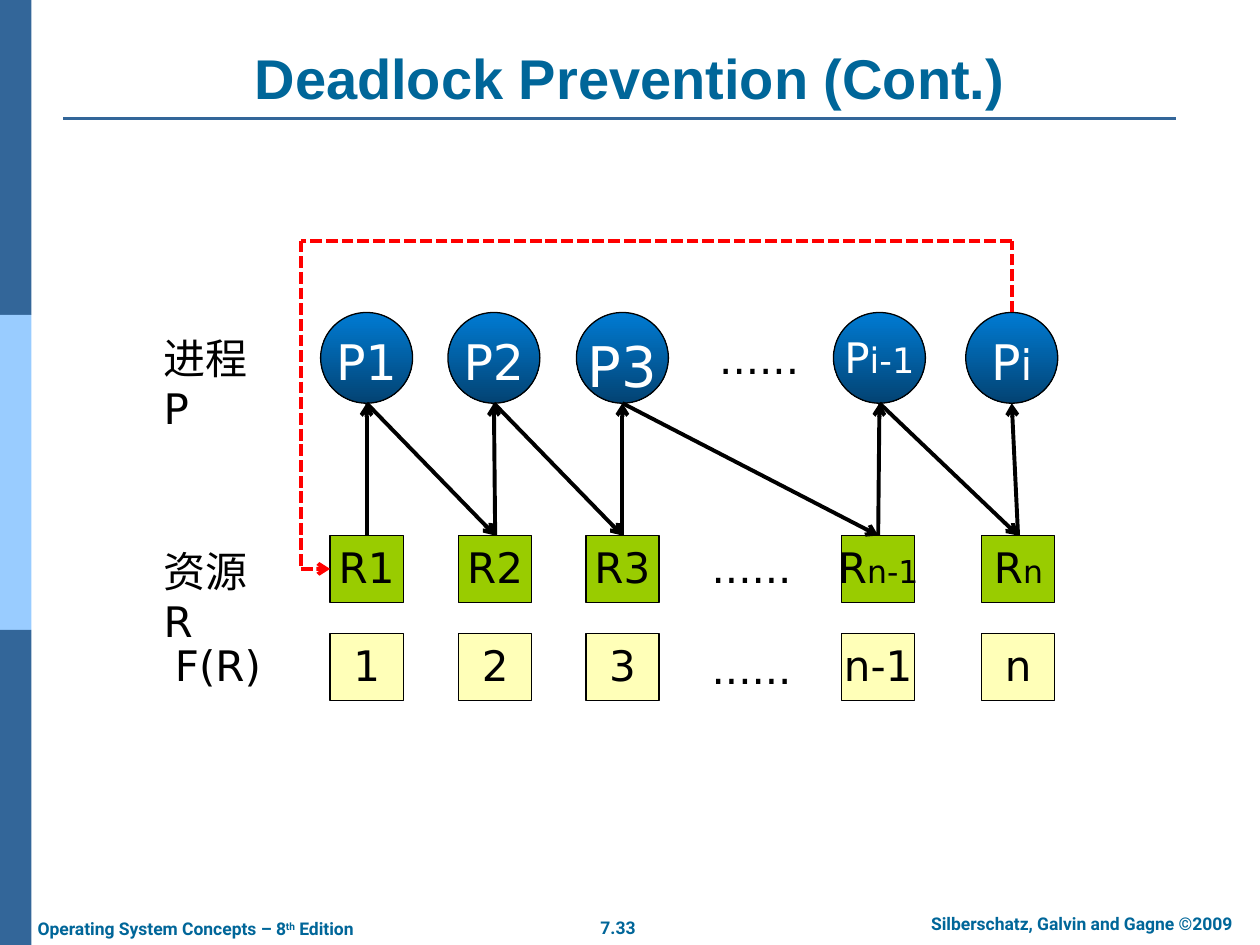
from lxml import etree
from pptx import Presentation
from pptx.dml.color import RGBColor
from pptx.enum.dml import MSO_LINE
from pptx.enum.shapes import MSO_CONNECTOR, MSO_SHAPE
from pptx.enum.text import MSO_ANCHOR, MSO_AUTO_SIZE, PP_ALIGN
from pptx.oxml.ns import qn
from pptx.util import Inches, Pt

RECT, OVAL, LINE = MSO_SHAPE.RECTANGLE, MSO_SHAPE.OVAL, MSO_CONNECTOR.STRAIGHT
LEFT, CENTER = PP_ALIGN.LEFT, PP_ALIGN.CENTER
TOP, BOTTOM = MSO_ANCHOR.TOP, MSO_ANCHOR.BOTTOM

THEME = {
    "heading": "006699", "bar": "336699", "bar_light": "99CCFF",
    "resource": "99CC00", "order": "FFFFB8", "ball": ("007BD3", "034373"),
    "ink": "000000", "white": "FFFFFF", "cycle": "FF0000",
    "title_font": "Arial", "body_font": "DejaVu Sans", "foot_font": "Roboto",
    "title": 32, "body": 24, "foot": 10,
}
RGB = RGBColor.from_string

# Grid in inches: column centres and row tops
PROCESS_X = [2.91, 3.92, 4.94, 6.98, 8.03]
RESOURCE_X = [2.91, 3.93, 4.94, 6.97, 8.08]
PROCESS_Y, RESOURCE_Y, ORDER_Y = 2.48, 4.25, 5.03
BALL_W, BALL_H, BOX_W, BOX_H = 0.73, 0.72, 0.58, 0.53
BALL_BOTTOM = PROCESS_Y + BALL_H

prs = Presentation()
prs.slide_width, prs.slide_height = Inches(10), Inches(7.5)
s = prs.slides.add_slide(prs.slide_layouts[5])


def write(sp, runs, color="ink", font="body_font", align=CENTER, bold=False, wrap=False):
    """Write (text, size) runs as one top-anchored paragraph."""
    tf = sp.text_frame
    tf.word_wrap, tf.vertical_anchor = wrap, TOP
    p = tf.paragraphs[0]
    p.alignment = align
    p.font.name, p.font.bold = THEME[font], bold
    p.font.color.rgb = RGB(THEME[color])
    p.font.size = Pt(runs[0][1])
    for text, size in runs:
        r = p.add_run()
        r.text = text
        if size != runs[0][1]:
            r.font.size = Pt(size)
    return p


def connect(start, end, color="ink", width=2.25, arrow=True, dash=None):
    """Draw a line between two points in inches."""
    c = s.shapes.add_connector(LINE, *(Inches(v) for v in (*start, *end)))
    c.line.color.rgb, c.line.width = RGB(THEME[color]), Pt(width)
    if dash:
        c.line.dash_style = dash
    if arrow:
        etree.SubElement(c.line._get_or_add_ln(), qn("a:tailEnd"), type="arrow")
    etree.SubElement(c._element.spPr, qn("a:effectLst"))
    return c


# Side bar in thirds of the slide height
third = prs.slide_height // 3
for i, name in enumerate(("bar", "bar_light", "bar")):
    sp = s.shapes.add_shape(RECT, 0, i * third, Inches(0.25), third)
    sp.shadow.inherit = False
    sp.fill.solid()
    sp.fill.fore_color.rgb = RGB(THEME[name])
    sp.line.fill.background()

# Title and its rule
title = s.shapes.title
title.left, title.top, title.width, title.height = (
    Inches(v) for v in (0.5, 0.3, 9, 0.63))
tf = title.text_frame
tf.text = "Deadlock Prevention (Cont.)"
tf.auto_size, tf.vertical_anchor = MSO_AUTO_SIZE.NONE, BOTTOM
p = tf.paragraphs[0]
p.alignment = CENTER
p.font.name, p.font.size, p.font.bold = THEME["title_font"], Pt(THEME["title"]), True
p.font.color.rgb = RGB(THEME["heading"])
connect((0.5, 0.94), (9.33, 0.94), "bar", 1.5, arrow=False)

# Footer
size = THEME["foot"]
FOOTER = [
    (4.66, 7.23, 0.49, CENTER, ["7.33"]),
    (7.1, 7.2, 2.97, CENTER, ["Silberschatz, Galvin and Gagne ©2009"]),
    (0.2, 7.24, 2.88, LEFT, ["Operating System Concepts – 8", "th", " Edition"]),
]
for x, y, w, align, parts in FOOTER:
    sp = s.shapes.add_textbox(*(Inches(v) for v in (x, y, w, 0.27)))
    p = write(sp, [(t, size) for t in parts], "heading", "foot_font", align, True)
    for r in p.runs:
        if r.text == "th":
            r._r.get_or_add_rPr().set("baseline", "30000")

# Resource boxes and their order numbers
size = THEME["body"]
RESOURCES = [[("R1", size)], [("R2", size)], [("R3", size)],
             [("R", size), ("n-1", 18)], [("R", size), ("n", 18)]]
ORDERS = [[(t, size)] for t in ("1", "2", "3", "n-1", "n")]
boxes = []
for y, fill, labels in ((RESOURCE_Y, "resource", RESOURCES), (ORDER_Y, "order", ORDERS)):
    for x, runs in zip(RESOURCE_X, labels):
        sp = s.shapes.add_shape(
            RECT, *(Inches(v) for v in (x - BOX_W / 2, y, BOX_W, BOX_H)))
        sp.shadow.inherit = False
        sp.fill.solid()
        sp.fill.fore_color.rgb = RGB(THEME[fill])
        sp.line.color.rgb, sp.line.width = RGB(THEME["ink"]), Pt(0.75)
        write(sp, runs, align=LEFT if runs is RESOURCES[-1] else CENTER)
        boxes.append(sp)
resources = boxes[:len(RESOURCE_X)]

# Process balls
PROCESSES = [[("P1", 28)], [("P2", 28)], [("P3", 32)],
             [("P", 24), ("i-1", 20)], [("P", 28), ("i", 24)]]
for x, runs in zip(PROCESS_X, PROCESSES):
    sp = s.shapes.add_shape(
        OVAL, *(Inches(v) for v in (x - BALL_W / 2, PROCESS_Y, BALL_W, BALL_H)))
    sp.shadow.inherit = False
    sp.fill.gradient()
    sp.fill.gradient_angle = 270
    for stop, color, position in zip(sp.fill.gradient_stops, THEME["ball"], (0, 1)):
        stop.color.rgb, stop.position = RGB(color), position
    sp.line.color.rgb, sp.line.width = RGB(THEME["ink"]), Pt(0.75)
    write(sp, runs, "white")

# Row labels and ellipses
LABELS = [
    (1.2, 2.59, 1, "进程P"), (1.2, 4.28, 1, "资源R"), (1.29, 5.03, 0.93, "F(R)"),
    (5.61, 2.59, 0.93, "......"), (5.55, 4.25, 0.93, "......"), (5.55, 5.05, 0.93, "......"),
]
for x, y, w, text in LABELS:
    sp = s.shapes.add_textbox(*(Inches(v) for v in (x, y, w, 0.5)))
    write(sp, [(text, size)], align=LEFT, wrap=w == 1)

# Each resource is held by its process, which requests the next resource
for i, (px, rx) in enumerate(zip(PROCESS_X, RESOURCE_X)):
    held = connect((rx, RESOURCE_Y), (px, BALL_BOTTOM))
    held.begin_connect(resources[i], 0)
    if i + 1 < len(resources):
        request = connect((px, BALL_BOTTOM), (RESOURCE_X[i + 1], RESOURCE_Y))
        request.end_connect(resources[i + 1], 0)

# Dashed request from the last process back to the first resource
cycle_x, cycle_y, middle = 2.39, 1.91, RESOURCE_Y + BOX_H / 2
route = [(PROCESS_X[-1], PROCESS_Y), (PROCESS_X[-1], cycle_y), (cycle_x, cycle_y),
         (cycle_x, middle), (RESOURCE_X[0] - BOX_W / 2, middle)]
for start, end in zip(route, route[1:]):
    last = connect(start, end, "cycle", arrow=end == route[-1], dash=MSO_LINE.SQUARE_DOT)
last.end_connect(resources[0], 1)

prs.save("out.pptx")
